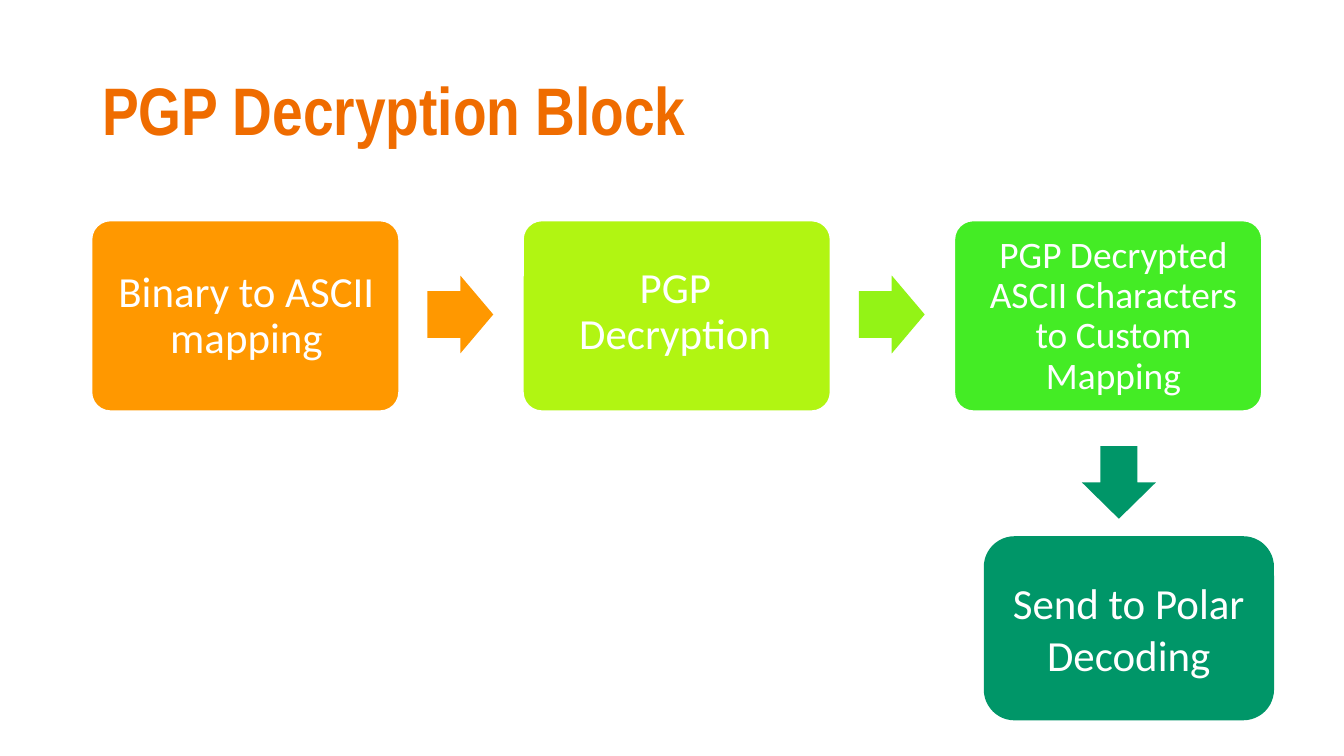
from dataclasses import dataclass

from pptx import Presentation
from pptx.dml.color import RGBColor
from pptx.enum.shapes import MSO_SHAPE
from pptx.enum.text import MSO_ANCHOR, PP_ALIGN
from pptx.util import Inches, Pt

ROUNDED = MSO_SHAPE.ROUNDED_RECTANGLE
RIGHT_ARROW = MSO_SHAPE.RIGHT_ARROW
DOWN_ARROW = MSO_SHAPE.DOWN_ARROW
MIDDLE = MSO_ANCHOR.MIDDLE
CENTER = PP_ALIGN.CENTER
LEFT = PP_ALIGN.LEFT

WHITE = "FFFFFF"
TITLE_ORANGE = "EF6C00"
GREEN = "009668"

# Row of steps: equal boxes at an equal pitch
ROW_LEFT, ROW_TOP, PITCH = 0.68, 1.64, 3.21
BOX_WIDTH, BOX_HEIGHT = 2.29, 1.42
LABEL_WIDTH, LABEL_HEIGHT = 2.21, 1.33
ARROW_OFFSET, ARROW_TOP = 2.5, 2.05
ARROW_WIDTH, ARROW_HEIGHT = 0.49, 0.58


@dataclass
class Step:
    text: str
    fill: str
    size: int
    label_shift: tuple[float, float]
    arrow_fill: str | None = None


STEPS = [
    Step("Binary to ASCII mapping", "FF9800", 23, (0.05, 0.05), "FF9800"),
    Step("PGP Decryption", "B1F512", 23, (0.03, 0.02), "93F316"),
    Step("PGP Decrypted ASCII Characters to Custom Mapping", "44EC25", 20, (0.08, 0.05)),
]


def color(value: str) -> RGBColor:
    return RGBColor.from_string(value)


def write_text(shape, text: str, size: int, inset: tuple[float, float],
               font: str = "Calibri", fill: str = WHITE, bold: bool = False,
               align=CENTER, spacing: float = 0.9) -> None:
    frame = shape.text_frame
    frame.word_wrap = True
    frame.vertical_anchor = MIDDLE
    frame.margin_left = frame.margin_right = Inches(inset[0])
    frame.margin_top = frame.margin_bottom = Inches(inset[1])
    paragraph = frame.paragraphs[0]
    paragraph.alignment = align
    paragraph.line_spacing = spacing
    run = paragraph.add_run()
    run.text = text
    run.font.name = font
    run.font.size = Pt(size)
    run.font.bold = bold
    run.font.color.rgb = color(fill)


def add_block(slide, kind, left: float, top: float, width: float, height: float,
              fill: str, adjustments: tuple[float, ...], outline: str | None = None):
    shape = slide.shapes.add_shape(kind, Inches(left), Inches(top), Inches(width), Inches(height))
    shape.shadow.inherit = False
    for index, value in enumerate(adjustments):
        shape.adjustments[index] = value
    shape.fill.solid()
    shape.fill.fore_color.rgb = color(fill)
    if outline:
        shape.line.color.rgb = color(outline)
        shape.line.width = Pt(1)
    else:
        shape.line.fill.background()
    return shape


def add_step(slide, step: Step, left: float) -> None:
    add_block(slide, ROUNDED, left, ROW_TOP, BOX_WIDTH, BOX_HEIGHT, step.fill, (0.1,), WHITE)
    shift_x, shift_y = step.label_shift
    label = slide.shapes.add_textbox(Inches(left + shift_x), Inches(ROW_TOP + shift_y),
                                     Inches(LABEL_WIDTH), Inches(LABEL_HEIGHT))
    write_text(label, step.text, step.size, (0.1, 0.1))
    if step.arrow_fill:
        add_block(slide, RIGHT_ARROW, left + ARROW_OFFSET, ARROW_TOP,
                  ARROW_WIDTH, ARROW_HEIGHT, step.arrow_fill, (0.6, 0.5))


def main() -> None:
    # Widescreen slide, 16:9
    presentation = Presentation()
    presentation.slide_width = Inches(10)
    presentation.slide_height = Inches(10) * 9 // 16
    slide = presentation.slides.add_slide(presentation.slide_layouts[5])

    # Title
    title = slide.shapes.title
    title.left, title.top = Inches(0.69), Inches(0.3)
    title.width, title.height = Inches(8.62), Inches(1.09)
    write_text(title, "PGP Decryption Block", 36, (0.07, 0.04),
               "Arial Narrow", TITLE_ORANGE, True, LEFT)

    # Decryption steps
    for index, step in enumerate(STEPS):
        add_step(slide, step, ROW_LEFT + index * PITCH)

    # Hand-over to polar decoding
    decoding = add_block(slide, ROUNDED, 7.32, 3.99, 2.16, 1.37, GREEN, (0.167,))
    write_text(decoding, "Send to Polar Decoding", 23, (0.1, 0.05), spacing=1.0)
    add_block(slide, DOWN_ARROW, 8.05, 3.32, 0.55, 0.54, GREEN, (0.5, 0.5))

    presentation.save("out.pptx")


if __name__ == "__main__":
    main()
